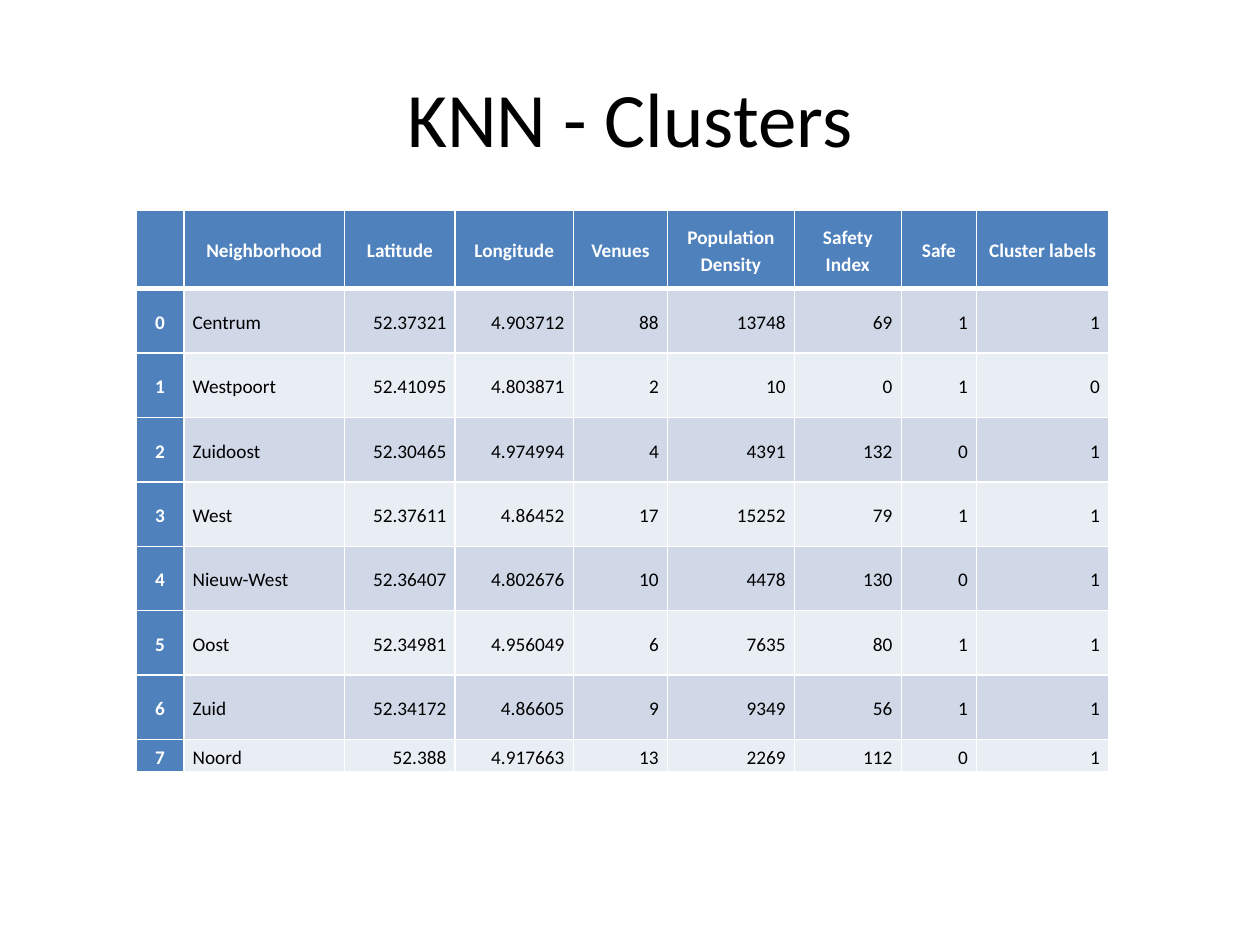
from lxml import etree
from pptx import Presentation
from pptx.dml.color import RGBColor
from pptx.enum.text import MSO_ANCHOR, PP_ALIGN
from pptx.oxml.ns import qn
from pptx.util import Inches, Pt

LEFT, CENTER, RIGHT = PP_ALIGN.LEFT, PP_ALIGN.CENTER, PP_ALIGN.RIGHT
MIDDLE = MSO_ANCHOR.MIDDLE

FONT = "Calibri"
WHITE, BLACK, BLUE = "FFFFFF", "000000", "4F81BD"
BANDS = ("D0D8E8", "E9EDF4")
CELL_FORMAT = {
    "vertical_anchor": MIDDLE,
    "margin_left": Inches(0.07),
    "margin_right": Inches(0.07),
    "margin_top": 0,
    "margin_bottom": 0,
}
COLUMN_WIDTHS = (0.38, 1.28, 0.88, 0.94, 0.75, 1.01, 0.85, 0.6, 1.05)
ROW_HEIGHTS = (0.62, *[0.51] * 7, 0.26)
HEADINGS = ("", "Neighborhood", "Latitude", "Longitude", "Venues",
            "Population Density", "Safety Index", "Safe", "Cluster labels")
NEIGHBORHOODS = (
    ("Centrum", "52.37321", "4.903712", 88, 13748, 69, 1, 1),
    ("Westpoort", "52.41095", "4.803871", 2, 10, 0, 1, 0),
    ("Zuidoost", "52.30465", "4.974994", 4, 4391, 132, 0, 1),
    ("West", "52.37611", "4.86452", 17, 15252, 79, 1, 1),
    ("Nieuw-West", "52.36407", "4.802676", 10, 4478, 130, 0, 1),
    ("Oost", "52.34981", "4.956049", 6, 7635, 80, 1, 1),
    ("Zuid", "52.34172", "4.86605", 9, 9349, 56, 1, 1),
    ("Noord", "52.388", "4.917663", 13, 2269, 112, 0, 1),
)


def color(hex_value):
    """Turn a hex string into a colour."""
    return RGBColor.from_string(hex_value)


def apply(target, values):
    """Set every attribute named in a dict of format values."""
    for name, value in values.items():
        setattr(target, name, value)


def format_text(paragraph, align, size, text_color, bold=False, spacing=None):
    """Set the alignment, line spacing and font of a paragraph."""
    apply(paragraph, {"alignment": align, "line_spacing": spacing})
    apply(paragraph.font, {"name": FONT, "size": Pt(size), "bold": bold})
    paragraph.font.color.rgb = color(text_color)


def add_borders(cell, widths):
    """Draw white cell borders, with widths in points keyed by side."""
    properties = cell._tc.get_or_add_tcPr()
    for position, (side, width) in enumerate(widths.items()):
        line = etree.Element(qn(f"a:ln{side}"), w=str(Pt(width)))
        fill = etree.SubElement(line, qn("a:solidFill"))
        etree.SubElement(fill, qn("a:srgbClr"), val=WHITE)
        properties.insert(position, line)


def format_cell(cell, row, column):
    """Format a cell as heading, index or banded value by its place."""
    is_label = row == 0 or column == 0
    apply(cell, CELL_FORMAT)
    cell.fill.solid()
    cell.fill.fore_color.rgb = color(BLUE if is_label else BANDS[(row - 1) % 2])
    align = CENTER if is_label else LEFT if column == 1 else RIGHT
    format_text(cell.text_frame.paragraphs[0], align, 11,
                WHITE if is_label else BLACK, is_label, 1.15)
    add_borders(cell, {"L": 1, "R": 1, "T": 3 if row == 1 else 1,
                       "B": 3 if row == 0 else 1})


def place_title(slide, box, text):
    """Fill the title placeholder and fit it to the box."""
    title = slide.shapes.title
    apply(title, dict(zip(("left", "top", "width", "height"), box)))
    title.text_frame.text = text
    title.text_frame.vertical_anchor = MIDDLE
    format_text(title.text_frame.paragraphs[0], CENTER, 44, BLACK)


def place_cluster_table(slide, box):
    """Add the neighborhood table, sharing the box among columns and rows."""
    left, top, width, height = box
    records = [HEADINGS, *((index, *record) for index, record in enumerate(NEIGHBORHOODS))]
    table = slide.shapes.add_table(len(records), len(HEADINGS), *box).table
    table.first_col = True
    for column, share in zip(table.columns, COLUMN_WIDTHS):
        column.width = int(width * share / sum(COLUMN_WIDTHS))
    for row, share in zip(table.rows, ROW_HEIGHTS):
        row.height = int(height * share / sum(ROW_HEIGHTS))
    for row, record in enumerate(records):
        for column, value in enumerate(record):
            cell = table.cell(row, column)
            cell.text = str(value)
            format_cell(cell, row, column)


def main():
    """Build the slide and save it."""
    presentation = Presentation()
    slide_width, slide_height = Inches(10), Inches(7.5)
    apply(presentation, {"slide_width": slide_width, "slide_height": slide_height})
    slide = presentation.slides.add_slide(presentation.slide_layouts[5])
    title_box = (int(slide_width * 0.05), int(slide_height * 0.04),
                 int(slide_width * 0.9), Inches(1.25))
    table_box = [Inches(length) for length in (1.08, 1.67, 7.72, 4.46)]
    place_title(slide, title_box, "KNN - Clusters")
    place_cluster_table(slide, table_box)
    presentation.save("out.pptx")


if __name__ == "__main__":
    main()
